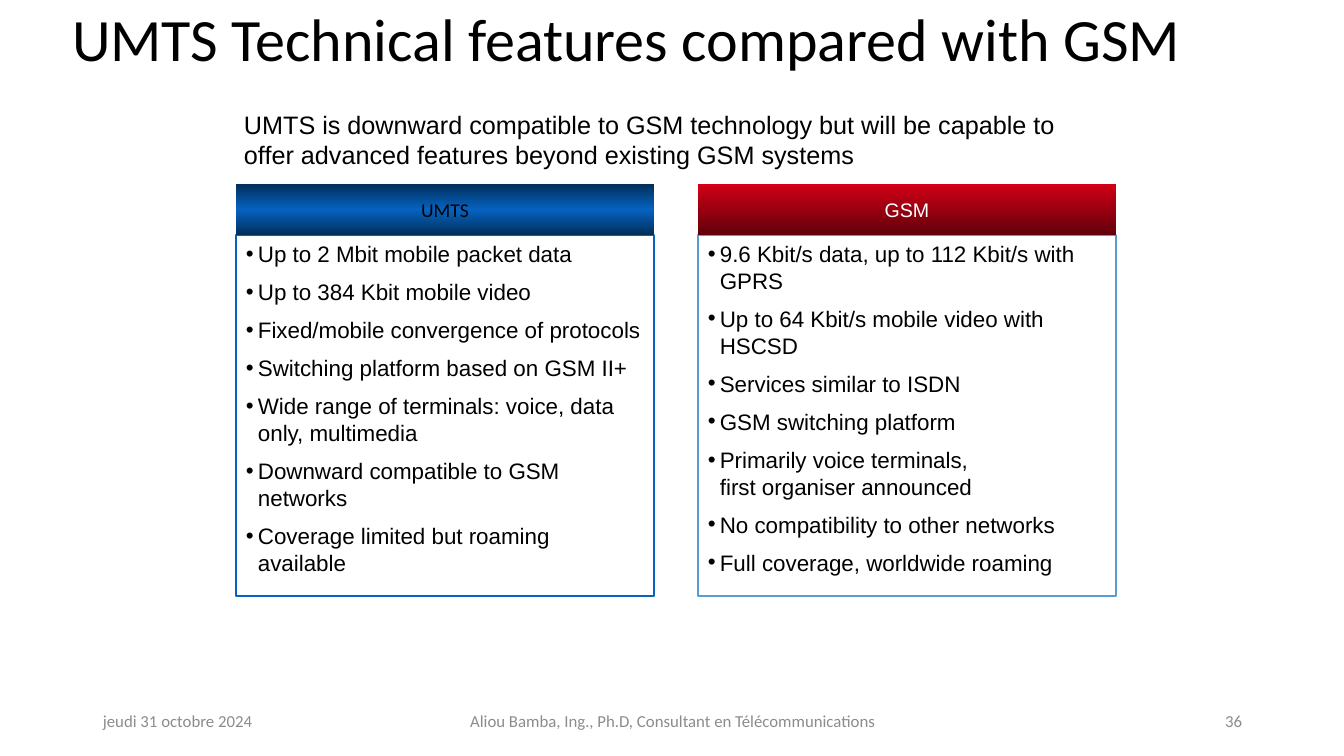
from lxml import etree
from pptx import Presentation
from pptx import util as u
from pptx.dml.color import RGBColor
from pptx.enum import shapes, text
from pptx.oxml.ns import qn

PX = 914400 / 100.8
LEFT, CENTER, RIGHT = text.PP_ALIGN.LEFT, text.PP_ALIGN.CENTER, text.PP_ALIGN.RIGHT
TOP, MIDDLE = text.MSO_ANCHOR.TOP, text.MSO_ANCHOR.MIDDLE

COLUMN_LEFT, COLUMN_STEP, COLUMN_WIDTH = 236, 462, 418
HEADER_TOP, HEADER_HEIGHT, BODY_HEIGHT = 184, 51, 361

# heading, heading font, heading colour, gradient stops, border, features
COLUMNS = [
    ("UMTS", "Calibri", "000000",
     [(0, "022E59"), (50, "0563C1"), (100, "022E59")], "0563C1",
     ["Up to 2 Mbit mobile packet data",
      "Up to 384 Kbit mobile video",
      "Fixed/mobile convergence of protocols",
      "Switching platform based on GSM II+",
      "Wide range of terminals: voice, data only, multimedia",
      "Downward compatible to GSM networks",
      "Coverage limited but roaming available"]),
    ("GSM", "Arial", "FFFFFF",
     [(0, "D10016"), (100, "61000A")], "5B9BD5",
     ["9.6 Kbit/s data, up to 112 Kbit/s with GPRS",
      "Up to 64 Kbit/s mobile video with HSCSD",
      "Services similar to ISDN",
      "GSM switching platform",
      "Primarily voice terminals,\vfirst organiser announced",
      "No compatibility to other networks",
      "Full coverage, worldwide roaming"]),
]

FOOTERS = [
    (93, 302, "jeudi 31 octobre 2024", LEFT),
    (446, 454, "Aliou Bamba, Ing., Ph.D, Consultant en Télécommunications", CENTER),
    (950, 302, "36", RIGHT),
]


def px(length):
    return u.Emu(round(length * PX))


def color(value):
    return RGBColor.from_string(value)


def style(para, size, font, fill, align=LEFT):
    para.alignment = align
    para.font.size = u.Pt(size)
    para.font.name = font
    para.font.color.rgb = color(fill)


def add_label(page, left, top, width, height, words, size, font, fill,
              align=LEFT, anchor=TOP, inset=True):
    box = page.shapes.add_textbox(px(left), px(top), px(width), px(height))
    frame = box.text_frame
    frame.word_wrap = True
    frame.vertical_anchor = anchor
    if not inset:
        frame.margin_left = frame.margin_right = 0
        frame.margin_top = frame.margin_bottom = 0
    frame.paragraphs[0].text = words
    style(frame.paragraphs[0], size, font, fill, align)


def add_rectangle(page, left, top, width, height):
    box = page.shapes.add_shape(shapes.MSO_SHAPE.RECTANGLE,
                                px(left), px(top), px(width), px(height))
    box.shadow.inherit = False
    return box


def fill_gradient(box, stops):
    box.fill.gradient()
    box.fill.gradient_angle = 270  # counter-clockwise: runs downwards
    stop_list = box.fill._fill._gradFill.find(qn("a:gsLst"))
    for old_stop in list(stop_list):
        stop_list.remove(old_stop)
    for position, value in stops:
        stop = etree.SubElement(stop_list, qn("a:gs"), pos=str(position * 1000))
        etree.SubElement(stop, qn("a:srgbClr"), val=value)


def add_bullet(para, indent):
    props = para._p.get_or_add_pPr()
    props.set("marL", str(px(indent)))
    props.set("indent", str(-px(indent)))
    etree.SubElement(props, qn("a:buFont"), typeface="Arial")
    etree.SubElement(props, qn("a:buChar"), char="•")


def add_header(page, left, heading, font, fill, stops):
    box = add_rectangle(page, left, HEADER_TOP, COLUMN_WIDTH, HEADER_HEIGHT)
    fill_gradient(box, stops)
    box.line.fill.background()
    frame = box.text_frame
    frame.word_wrap = False
    frame.vertical_anchor = MIDDLE
    frame.paragraphs[0].text = heading
    style(frame.paragraphs[0], 14, font, fill, CENTER)


def add_features(page, left, border, features):
    box = add_rectangle(page, left, HEADER_TOP + HEADER_HEIGHT, COLUMN_WIDTH, BODY_HEIGHT)
    box.fill.solid()
    box.fill.fore_color.rgb = color("FFFFFF")
    box.line.color.rgb = color(border)
    box.line.width = u.Pt(1)
    frame = box.text_frame
    frame.word_wrap = True
    frame.vertical_anchor = TOP
    for number, feature in enumerate(features):
        para = frame.add_paragraph() if number else frame.paragraphs[0]
        para.text = feature
        add_bullet(para, 12)
        style(para, 16, "Arial", "000000")
        if number:
            para.space_before = u.Pt(8)


def set_title(page, words):
    title = page.shapes.title
    title.left, title.top, title.width, title.height = px(62), px(5), px(1216), px(96)
    frame = title.text_frame
    frame.word_wrap = True
    frame.auto_size = text.MSO_AUTO_SIZE.NONE
    frame.vertical_anchor = TOP
    para = frame.paragraphs[0]
    para.text = words
    para.line_spacing = 0.9
    style(para, 42.9, "Calibri", "000000")


def main():
    deck = Presentation()
    deck.slide_width, deck.slide_height = px(1344), px(756)
    page = deck.slides.add_slide(deck.slide_layouts[5])

    # Title and summary
    set_title(page, "UMTS Technical features compared with GSM")
    add_label(page, 244, 109, 880, 61,
              "UMTS is downward compatible to GSM technology but will be capable to\v"
              "offer advanced features beyond existing GSM systems",
              18, "Arial", "000000", inset=False)

    # Comparison columns
    for number, (heading, font, fill, stops, border, features) in enumerate(COLUMNS):
        left = COLUMN_LEFT + number * COLUMN_STEP
        add_features(page, left, border, features)
        add_header(page, left, heading, font, fill, stops)

    # Footer
    for left, width, words, align in FOOTERS:
        add_label(page, left, 701, width, 40, words, 12, "Calibri", "8C8C8C", align, MIDDLE)

    deck.save("out.pptx")


if __name__ == "__main__":
    main()
